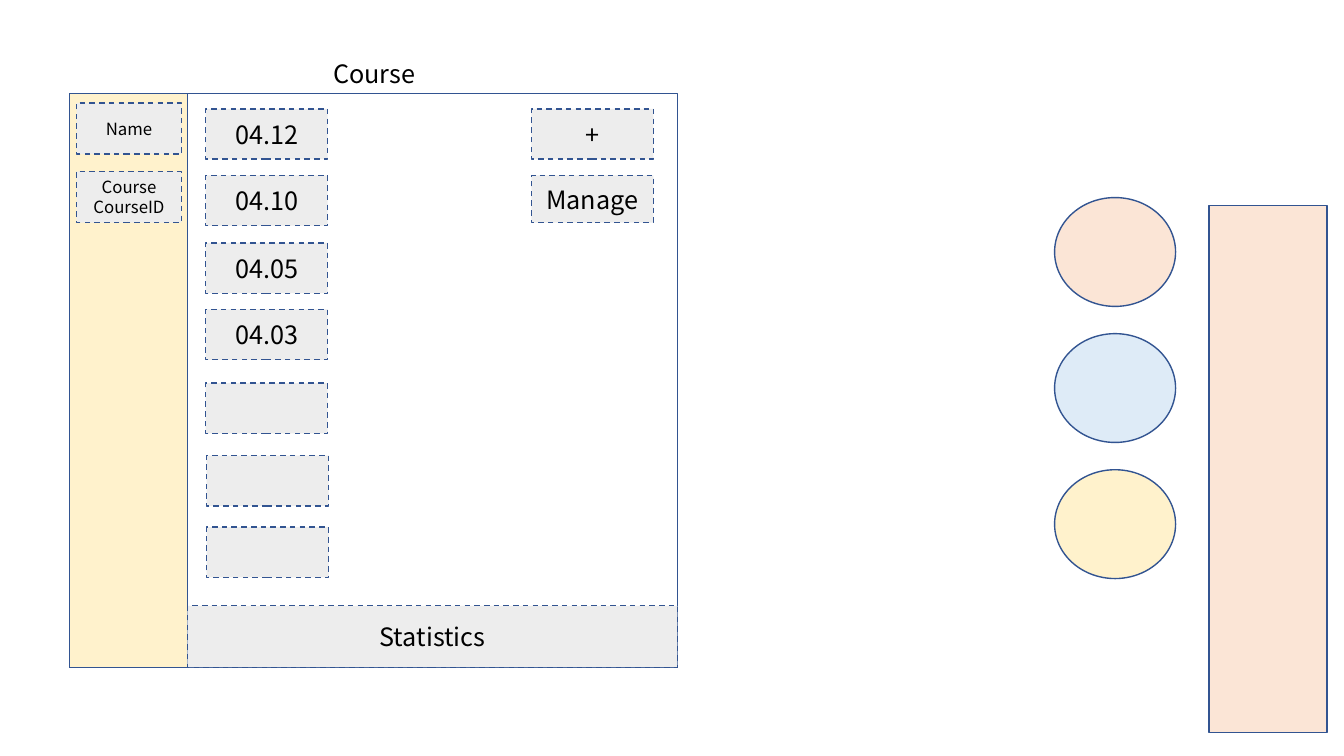
"""Build the course screen wireframe slide."""
from dataclasses import dataclass

from pptx import Presentation
from pptx.dml.color import RGBColor
from pptx.enum.dml import MSO_LINE
from pptx.enum.shapes import MSO_SHAPE
from pptx.enum.text import MSO_ANCHOR, PP_ALIGN
from pptx.util import Inches, Pt

RECTANGLE = MSO_SHAPE.RECTANGLE
ELLIPSE = MSO_SHAPE.OVAL
DASH = MSO_LINE.DASH
CENTER = PP_ALIGN.CENTER
TOP = MSO_ANCHOR.TOP
MIDDLE = MSO_ANCHOR.MIDDLE


@dataclass(frozen=True)
class Theme:
    font: str = "Noto Sans CJK KR"
    text: str = "000000"
    outline: str = "325491"
    white: str = "FFFFFF"
    gray: str = "EDEDED"
    peach: str = "FBE5D6"
    blue: str = "DEEBF7"
    yellow: str = "FFF2CC"
    body_size: int = 18
    small_size: int = 12
    line_width: int = 1


def set_text(frame, text, *, font, size, color, anchor=MIDDLE):
    frame.word_wrap = True
    frame.vertical_anchor = anchor
    frame.text = text
    for paragraph in frame.paragraphs:
        paragraph.alignment = CENTER
        paragraph.font.name = font
        paragraph.font.size = Pt(size)
        paragraph.font.color.rgb = RGBColor.from_string(color)


class Wireframe:
    def __init__(self, slide, theme):
        self.slide = slide
        self.theme = theme

    def caption(self, shape, text, size, anchor=MIDDLE):
        set_text(shape.text_frame, text, font=self.theme.font, size=size,
                 color=self.theme.text, anchor=anchor)

    def panel(self, left, top, width, height, fill, kind=RECTANGLE):
        shape = self.slide.shapes.add_shape(
            kind, Inches(left), Inches(top), Inches(width), Inches(height))
        shape.shadow.inherit = False
        shape.fill.solid()
        shape.fill.fore_color.rgb = RGBColor.from_string(fill)
        shape.line.color.rgb = RGBColor.from_string(self.theme.outline)
        shape.line.width = Pt(self.theme.line_width)
        return shape

    def box(self, left, top, width, height, text="", size=None):
        shape = self.panel(left, top, width, height, self.theme.gray)
        shape.line.dash_style = DASH
        if text:
            self.caption(shape, text, size or self.theme.body_size)

    def label(self, left, top, width, height, text):
        shape = self.slide.shapes.add_textbox(
            Inches(left), Inches(top), Inches(width), Inches(height))
        self.caption(shape, text, self.theme.body_size, TOP)


def main():
    presentation = Presentation()
    presentation.slide_width = Inches(13.33)
    presentation.slide_height = Inches(7.5)
    slide = presentation.slides.add_slide(presentation.slide_layouts[6])
    theme = Theme()
    wireframe = Wireframe(slide, theme)

    window_left, window_top, window_width, window_height = 0.69, 0.93, 6.03, 5.69
    sidebar_width = 1.17
    wireframe.panel(window_left, window_top, window_width, window_height, theme.white)
    wireframe.panel(window_left, window_top, sidebar_width, window_height, theme.yellow)
    wireframe.label(2.84, 0.53, 1.74, 0.4, "Course")

    for top, text in ((1.02, "Name"), (1.7, "Course\nCourseID")):
        wireframe.box(0.76, top, 1.04, 0.51, text, theme.small_size)

    button_width, button_height = 1.21, 0.5
    sessions = (
        (2.04, 1.08, "04.12"), (2.04, 1.74, "04.10"), (2.04, 2.41, "04.05"),
        (2.04, 3.07, "04.03"), (2.04, 3.8, ""), (2.05, 4.52, ""), (2.05, 5.23, ""),
    )
    for left, top, text in sessions:
        wireframe.box(left, top, button_width, button_height, text)
    wireframe.box(5.27, 1.08, button_width, button_height, "+")
    wireframe.box(5.27, 1.74, button_width, 0.47, "Manage")

    statistics_height = 0.61
    wireframe.box(window_left + sidebar_width,
                  window_top + window_height - statistics_height,
                  window_width - sidebar_width, statistics_height, "Statistics")

    wireframe.panel(11.99, 2.04, sidebar_width, 5.23, theme.peach)
    for row, fill in enumerate((theme.peach, theme.blue, theme.yellow)):
        wireframe.panel(10.46, 1.96 + row * 1.35, 1.2, 1.08, fill, ELLIPSE)

    presentation.save("out.pptx")


main()
